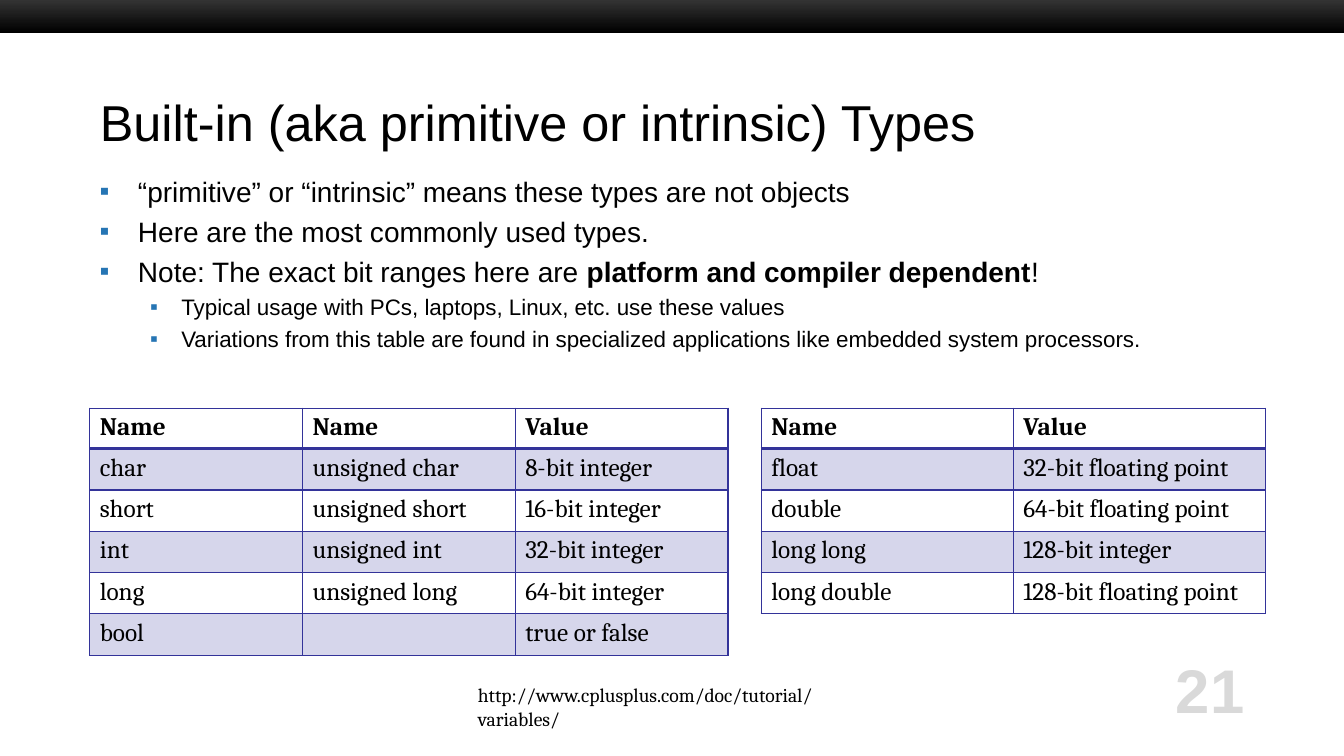
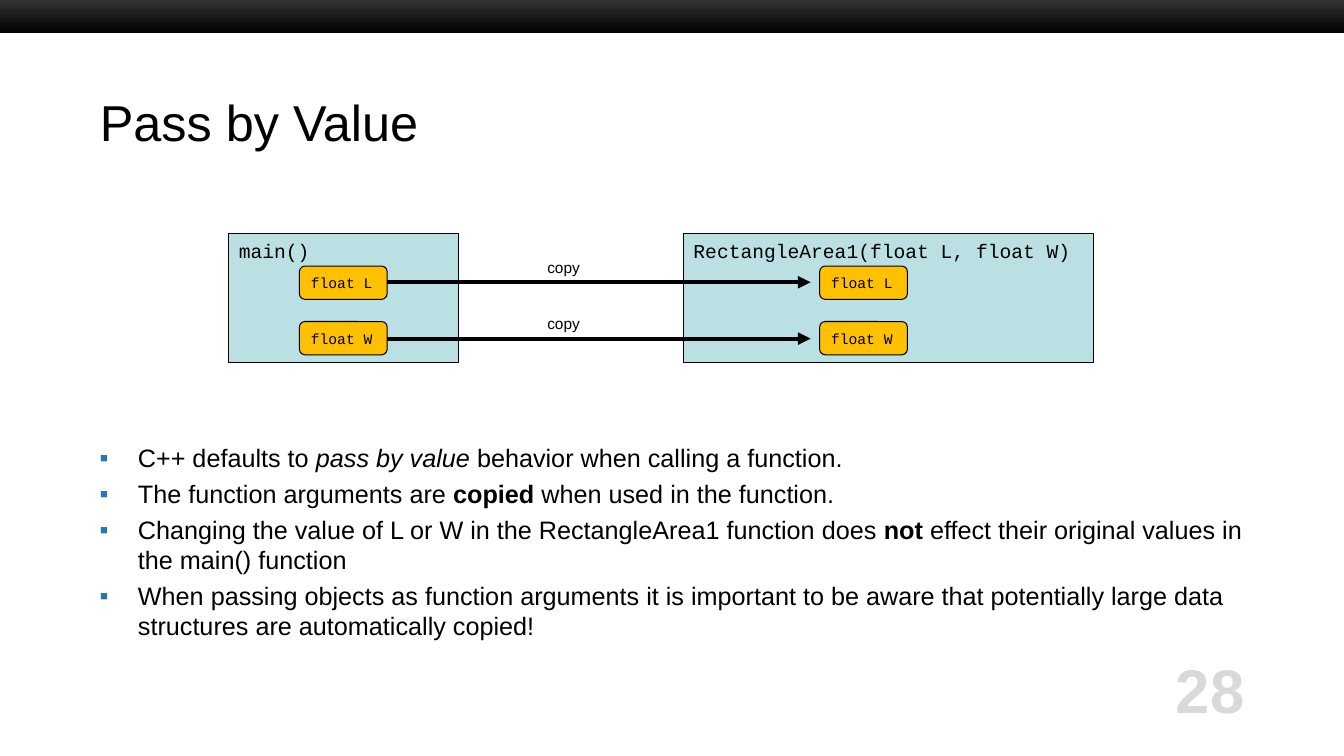
from typing import NamedTuple

from lxml import etree
from pptx import Presentation
from pptx.dml.color import RGBColor
from pptx.enum.shapes import MSO_CONNECTOR, MSO_SHAPE
from pptx.enum.text import MSO_ANCHOR, PP_ALIGN
from pptx.oxml.ns import qn
from pptx.util import Pt

LEFT, RIGHT = PP_ALIGN.LEFT, PP_ALIGN.RIGHT
TOP, MIDDLE = MSO_ANCHOR.TOP, MSO_ANCHOR.MIDDLE
RECT, ROUND_RECT = MSO_SHAPE.RECTANGLE, MSO_SHAPE.ROUNDED_RECTANGLE
STRAIGHT = MSO_CONNECTOR.STRAIGHT

EMU_PER_PX = 9144
SLIDE_W, SLIDE_H = 1333, 750
MARGIN, CONTENT_W = 89, 1156
SANS, SERIF, MONO = "Arial", "Cambria", "Courier New"
COLORS = {
    "text": "000000",
    "band_top": "333333",
    "band_bottom": "000000",
    "bullet": "2675B4",
    "number": "D9D9D9",
    "border": "333399",
    "stripe": "D6D6EB",
    "scope": "BBE0E3",
    "variable": "FFC000",
}


class Box(NamedTuple):
    left: int
    top: int
    width: int
    height: int


class Style(NamedTuple):
    size: float
    font: str = SANS
    color: str = "text"
    bold: bool = False
    italic: bool = False


class Span(NamedTuple):
    text: str
    bold: bool = False
    italic: bool = False


class Bullet(NamedTuple):
    spans: list[Span]
    size: int
    margin: int = 38
    hang: int = 38


class Grid(NamedTuple):
    left: int
    column_width: int
    rows: list[list[str]]


class Scope(NamedTuple):
    label: str
    left: int
    width: int
    variable_left: int


class Variable(NamedTuple):
    label: str
    top: int
    arrow_y: int


TYPE_BULLETS = [
    Bullet([Span("“primitive” or “intrinsic” means these types are not objects")], 20),
    Bullet([Span("Here are the most commonly used types.")], 20),
    Bullet([Span("Note: The exact bit ranges here are "),
            Span("platform and compiler dependent", bold=True), Span("!")], 20),
    Bullet([Span("Typical usage with PCs, laptops, Linux, etc. use these values")], 16, 81, 31),
    Bullet([Span("Variations from this table are found in specialized applications "
                 "like embedded system processors.")], 16, 81, 31),
]
TYPE_GRIDS = [
    Grid(89, 211, [
        ["Name", "Name", "Value"],
        ["char", "unsigned char", "8-bit integer"],
        ["short", "unsigned short", "16-bit integer"],
        ["int", "unsigned int", "32-bit integer"],
        ["long", "unsigned long", "64-bit integer"],
        ["bool", "", "true or false"],
    ]),
    Grid(755, 250, [
        ["Name", "Value"],
        ["float", "32-bit floating point"],
        ["double", "64-bit floating point"],
        ["long long", "128-bit integer"],
        ["long double", "128-bit floating point"],
    ]),
]
PASS_BULLETS = [
    Bullet([Span("C++ defaults to "), Span("pass by value", italic=True),
            Span(" behavior when calling a function.")], 18),
    Bullet([Span("The function arguments are "), Span("copied", bold=True),
            Span(" when used in the function.")], 18),
    Bullet([Span("Changing the value of L or W in the RectangleArea1 function does "),
            Span("not", bold=True),
            Span(" effect their original values in the main() function")], 18),
    Bullet([Span("When passing objects as function arguments it is important to be aware "
                 "that potentially large data structures are automatically copied!")], 18),
]
SCOPES = [
    Scope("main()", 227, 228, 297),
    Scope("RectangleArea1(float L, float W)", 678, 407, 813),
]
VARIABLES = [Variable("float L", 264, 280), Variable("float W", 319, 336)]
VARIABLE_W, VARIABLE_H = 87, 33


def px(value: int) -> int:
    return value * EMU_PER_PX


def emu(box: Box) -> list[int]:
    return [px(v) for v in box]


def rgb(name: str) -> RGBColor:
    return RGBColor.from_string(COLORS[name])


def format_run(r, style: Style) -> None:
    r.font.size = Pt(style.size)
    r.font.name = style.font
    r.font.bold = style.bold
    r.font.italic = style.italic
    r.font.color.rgb = rgb(style.color)


def set_text(tf, text: str, style: Style, align=LEFT, anchor=TOP) -> None:
    tf.text = text
    tf.vertical_anchor = anchor
    for p in tf.paragraphs:
        p.alignment = align
        for r in p.runs:
            format_run(r, style)


def add_label(s, box: Box, text: str, style: Style, align=LEFT, anchor=TOP, wrap=True):
    sp = s.shapes.add_textbox(*emu(box))
    set_text(sp.text_frame, text, style, align, anchor)
    sp.text_frame.word_wrap = wrap
    return sp


def add_bullets(s, box: Box, bullets: list[Bullet]) -> None:
    tf = s.shapes.add_textbox(*emu(box)).text_frame
    tf.word_wrap = True
    for i, bullet in enumerate(bullets):
        p = tf.add_paragraph() if i else tf.paragraphs[0]
        pPr = p._p.get_or_add_pPr()
        pPr.set("marL", str(px(bullet.margin)))
        pPr.set("indent", str(-px(bullet.hang)))
        color = etree.SubElement(pPr, qn("a:buClr"))
        etree.SubElement(color, qn("a:srgbClr"), val=COLORS["bullet"])
        etree.SubElement(pPr, qn("a:buFont"), typeface=SANS)
        etree.SubElement(pPr, qn("a:buChar"), char="▪")
        if i:
            p.space_before = Pt(round(bullet.size * 0.23, 1))
        for span in bullet.spans:
            r = p.add_run()
            r.text = span.text
            format_run(r, Style(bullet.size, bold=span.bold, italic=span.italic))


def add_box(s, kind, box: Box, fill: str, text: str, size: float, anchor) -> None:
    sp = s.shapes.add_shape(kind, *emu(box))
    sp.shadow.inherit = False
    sp.fill.solid()
    sp.fill.fore_color.rgb = rgb(fill)
    sp.line.color.rgb = rgb("text")
    sp.line.width = Pt(0.75)
    set_text(sp.text_frame, text, Style(size, MONO), anchor=anchor)


def add_arrow(s, x1: int, x2: int, y: int) -> None:
    cxn = s.shapes.add_connector(STRAIGHT, px(x1), px(y), px(x2), px(y))
    cxn.line.color.rgb = rgb("text")
    cxn.line.width = Pt(3)
    spPr = cxn._element.spPr
    etree.SubElement(spPr.find(qn("a:ln")), qn("a:tailEnd"), type="triangle")
    etree.SubElement(spPr, qn("a:effectLst"))


def set_borders(cell, row: int) -> None:
    tcPr = cell._tc.get_or_add_tcPr()
    widths = {"L": 1, "R": 1, "T": 2 if row == 1 else 1, "B": 2 if row == 0 else 1}
    for i, (side, width) in enumerate(widths.items()):
        ln = etree.Element(qn(f"a:ln{side}"), w=str(int(Pt(width))))
        fill = etree.SubElement(ln, qn("a:solidFill"))
        etree.SubElement(fill, qn("a:srgbClr"), val=COLORS["border"])
        tcPr.insert(i, ln)


def add_grid(s, grid: Grid, top: int, header_h: int, row_h: int) -> None:
    rows, cols = len(grid.rows), len(grid.rows[0])
    box = Box(grid.left, top, cols * grid.column_width, header_h + (rows - 1) * row_h)
    table = s.shapes.add_table(rows, cols, *emu(box)).table
    table.first_row = table.horz_banding = False
    for column in table.columns:
        column.width = px(grid.column_width)
    for i, texts in enumerate(grid.rows):
        table.rows[i].height = px(row_h if i else header_h)
        for j, text in enumerate(texts):
            cell = table.cell(i, j)
            set_text(cell.text_frame, text, Style(18, SERIF, bold=i == 0))
            if i % 2:
                cell.fill.solid()
                cell.fill.fore_color.rgb = rgb("stripe")
            else:
                cell.fill.background()
            set_borders(cell, i)


def add_slide(prs, title: str, number: int):
    s = prs.slides.add_slide(prs.slide_layouts[5])
    band = s.shapes.add_shape(RECT, *emu(Box(0, 0, SLIDE_W, 33)))
    band.shadow.inherit = False
    band.line.fill.background()
    band.fill.gradient()
    band.fill.gradient_angle = 270
    for stop, name in zip(band.fill.gradient_stops, ("band_top", "band_bottom")):
        stop.color.rgb = rgb(name)
    sp = s.shapes.title
    sp.left, sp.top, sp.width, sp.height = emu(Box(MARGIN, 83, CONTENT_W, 75))
    set_text(sp.text_frame, title, Style(36), anchor=MIDDLE)
    sp = add_label(s, Box(1033, 646, 211, 75), str(number),
                   Style(44, color="number", bold=True), RIGHT, MIDDLE)
    sp.text_frame.margin_top = sp.text_frame.margin_bottom = 0
    return s


def build_types(prs) -> None:
    s = add_slide(prs, "Built-in (aka primitive or intrinsic) Types", 21)
    add_bullets(s, Box(MARGIN, 168, CONTENT_W, 200), TYPE_BULLETS)
    for grid in TYPE_GRIDS:
        add_grid(s, grid, top=405, header_h=38, row_h=41)
    add_label(s, Box(464, 673, 405, 34),
              "http://www.cplusplus.com/doc/tutorial/variables/", Style(14, SERIF))


def build_pass_by_value(prs) -> None:
    s = add_slide(prs, "Pass by Value", 28)
    for scope in SCOPES:
        add_box(s, RECT, Box(scope.left, 232, scope.width, 128), "scope", scope.label, 14, TOP)
        for variable in VARIABLES:
            box = Box(scope.variable_left, variable.top, VARIABLE_W, VARIABLE_H)
            add_box(s, ROUND_RECT, box, "variable", variable.label, 10.5, MIDDLE)
    source, target = SCOPES
    for variable in VARIABLES:
        add_arrow(s, source.variable_left + VARIABLE_W, target.variable_left - 9,
                  variable.arrow_y)
        add_label(s, Box(533, variable.arrow_y - 29, 53, 29), "copy", Style(11), wrap=False)
    add_bullets(s, Box(MARGIN, 434, CONTENT_W, 216), PASS_BULLETS)


def main() -> None:
    prs = Presentation()
    prs.slide_width, prs.slide_height = px(SLIDE_W), px(SLIDE_H)
    build_types(prs)
    build_pass_by_value(prs)
    prs.save("out.pptx")


if __name__ == "__main__":
    main()
